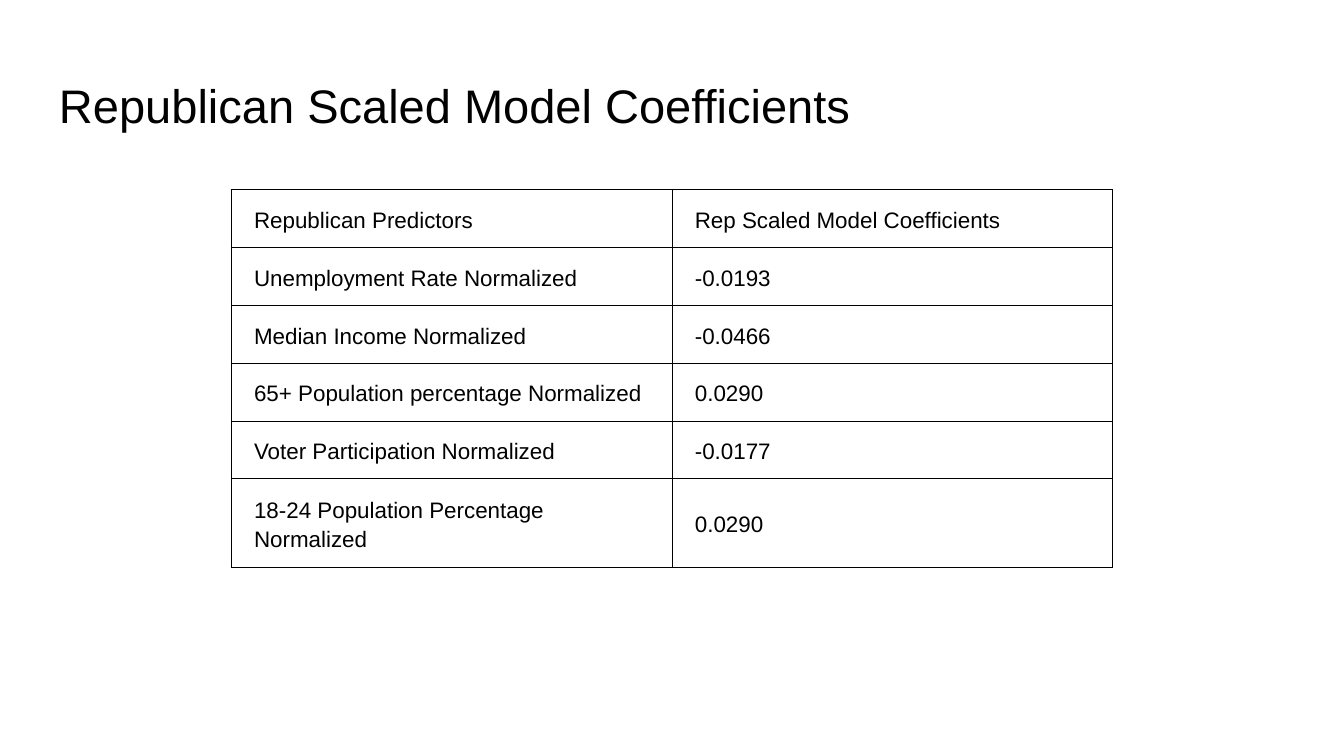
from lxml.etree import SubElement
from pptx import Presentation
from pptx.dml.color import RGBColor
from pptx.enum.text import MSO_ANCHOR as Anchor
from pptx.oxml.ns import qn
from pptx.util import Inches, Pt

WIDTH = 10
HEIGHT = WIDTH * 9 / 16
TITLE = "Republican Scaled Model Coefficients"
COEFFICIENTS = [
    ("Republican Predictors", "Rep Scaled Model Coefficients"),
    ("Unemployment Rate Normalized", "-0.0193"),
    ("Median Income Normalized", "-0.0466"),
    ("65+ Population percentage Normalized", "0.0290"),
    ("Voter Participation Normalized", "-0.0177"),
    ("18-24 Population Percentage Normalized", "0.0290"),
]


def color(hex_value):
    return RGBColor.from_string(hex_value)


class SlideBuilder:
    font_name = "Arial"
    ink = "000000"
    paper = "FFFFFF"
    inset = Inches(0.1)
    indent = Inches(0.07)
    outer_line, inner_line = Pt(0.75), Pt(0.5)

    def __init__(self, presentation):
        self.slide = presentation.slides.add_slide(presentation.slide_layouts[6])
        fill = self.slide.background.fill
        fill.solid()
        fill.fore_color.rgb = color(self.paper)

    def style_text(self, paragraph, text, size):
        paragraph.text = text
        font = paragraph.font
        font.name, font.size, font.bold = self.font_name, Pt(size), False
        font.color.rgb = color(self.ink)

    def title(self, text, top, height, margin=0.034, size=25.2):
        """Place a title; lengths are shares of the slide's size."""
        shape = self.slide.shapes.add_textbox(
            Inches(margin * WIDTH), Inches(top * HEIGHT),
            Inches((1 - 2 * margin) * WIDTH), Inches(height * HEIGHT))
        frame = shape.text_frame
        frame.word_wrap = True
        frame.vertical_anchor = Anchor.BOTTOM
        frame.margin_left = frame.margin_right = self.inset
        frame.margin_top = frame.margin_bottom = self.inset
        self.style_text(frame.paragraphs[0], text, size)

    def table(self, rows, top, width, row_height, size=12):
        """Place a centred table with equal columns; rows grow to fit their text."""
        row_count, column_count = len(rows), len(rows[0])
        shape = self.slide.shapes.add_table(
            row_count, column_count,
            Inches((1 - width) / 2 * WIDTH), Inches(top * HEIGHT),
            Inches(width * WIDTH), Inches(row_height * row_count * HEIGHT))
        # A square frame of one column's width keeps rows at their text height
        shape.width = shape.height = Inches(width * WIDTH / column_count)
        table = shape.table
        table.first_row = table.horz_banding = False
        for r, row in enumerate(rows):
            for c, text in enumerate(row):
                outer_edges = {"L": c == 0, "R": c == column_count - 1,
                               "T": r == 0, "B": r == row_count - 1}
                self.cell(table.cell(r, c), text, size, outer_edges)

    def cell(self, cell, text, size, outer_edges):
        cell.vertical_anchor = Anchor.MIDDLE
        cell.margin_left = cell.margin_right = self.inset
        cell.margin_top = cell.margin_bottom = self.inset
        paragraph = cell.text_frame.paragraphs[0]
        self.style_text(paragraph, text, size)
        paragraph.line_spacing = 1.15
        properties = paragraph._p.get_or_add_pPr()
        properties.set("marL", str(self.indent))
        properties.set("indent", "0")
        # Borders come before the fill in the cell's XML
        for side, is_outer in outer_edges.items():
            self.border(cell, side, self.outer_line if is_outer else self.inner_line)
        cell.fill.background()

    def border(self, cell, side, line_width):
        line = SubElement(cell._tc.get_or_add_tcPr(), qn(f"a:ln{side}"), w=str(line_width))
        fill = SubElement(line, qn("a:solidFill"))
        SubElement(fill, qn("a:srgbClr"), val=self.ink)


def main():
    presentation = Presentation()
    presentation.slide_width, presentation.slide_height = Inches(WIDTH), Inches(HEIGHT)
    builder = SlideBuilder(presentation)

    # Heading
    builder.title(TITLE, top=0.082, height=0.112)

    # Predictors and their coefficients
    builder.table(COEFFICIENTS, top=0.251, width=0.656, row_height=0.041)

    presentation.save("out.pptx")


if __name__ == "__main__":
    main()
